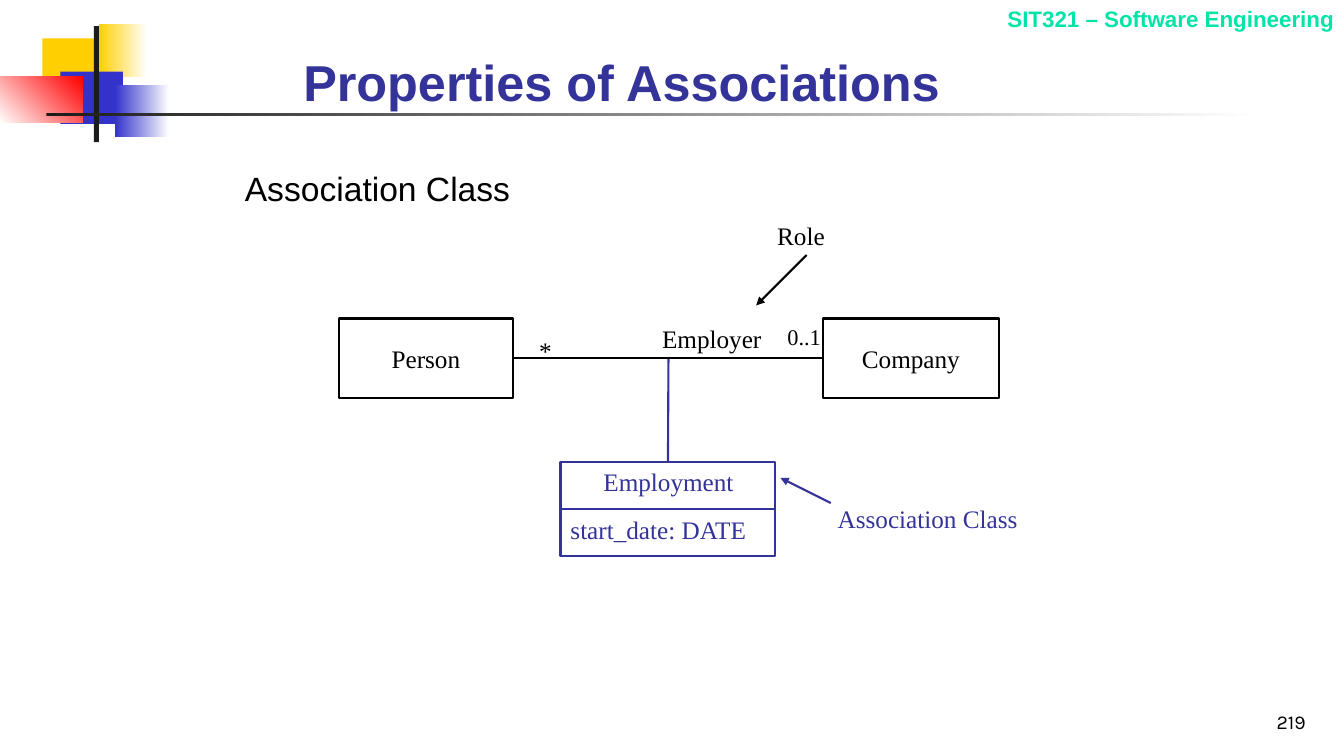
from lxml.etree import SubElement
from pptx import Presentation
from pptx.dml.color import RGBColor
from pptx.enum.shapes import MSO_CONNECTOR, MSO_SHAPE
from pptx.enum.text import MSO_ANCHOR as Anchor, PP_ALIGN as Align
from pptx.oxml.ns import qn
from pptx.util import Inches, Pt

COLORS = {
    "black": "000000", "white": "FFFFFF", "ink": "1C1C1C", "yellow": "FFCF01",
    "blue": "3333CC", "red": "FF0000", "navy": "333399", "mint": "00E4A8",
}
SERIF = "Times New Roman"


def rgb(name):
    return RGBColor.from_string(COLORS[name])


def write(frame, text, size, color, font, align, bold=False):
    frame.word_wrap = True
    paragraph = frame.paragraphs[0]
    paragraph.text = text
    paragraph.alignment = align
    style = paragraph.runs[0].font
    style.size, style.name, style.bold = Pt(size), font, bold
    style.color.rgb = rgb(color)


def add_label(slide, box, text, size=18, color="black", font=SERIF,
              align=Align.LEFT, anchor=Anchor.TOP, bold=False):
    label = slide.shapes.add_textbox(*map(Inches, box))
    label.text_frame.vertical_anchor = anchor
    write(label.text_frame, text, size, color, font, align, bold)


def add_rectangle(slide, box):
    rectangle = slide.shapes.add_shape(MSO_SHAPE.RECTANGLE, *map(Inches, box))
    rectangle.shadow.inherit = False
    return rectangle


def add_block(slide, box, start, end=None, angle=0):
    block = add_rectangle(slide, box)
    block.line.fill.background()
    if end is None:
        block.fill.solid()
        block.fill.fore_color.rgb = rgb(start)
        return
    block.fill.gradient()
    block.fill.gradient_angle = angle
    for stop, name in zip(block.fill.gradient_stops, (start, end)):
        stop.color.rgb = rgb(name)


def add_class(slide, box, color="black", name=None):
    class_box = add_rectangle(slide, box)
    class_box.fill.background()
    class_box.line.color.rgb = rgb(color)
    class_box.line.width = Pt(1.5)
    if name:
        class_box.text_frame.vertical_anchor = Anchor.MIDDLE
        write(class_box.text_frame, name, 18, color, SERIF, Align.CENTER)
    return class_box


def add_link(slide, start, end, color="black", arrow=False):
    link = slide.shapes.add_connector(
        MSO_CONNECTOR.STRAIGHT, *map(Inches, start + end))
    link.line.color.rgb = rgb(color)
    link.line.width = Pt(1.5)
    if arrow:
        SubElement(link.line._get_or_add_ln(), qn("a:tailEnd"), type="triangle")
    SubElement(link._element.spPr, qn("a:effectLst"))
    return link


def add_decoration(slide):
    add_block(slide, (0.42, 0.38, 0.64, 0.52), "yellow")
    add_block(slide, (0.98, 0.24, 0.48, 0.52), "yellow", "white")
    add_block(slide, (0.6, 0.71, 0.62, 0.52), "blue")
    add_block(slide, (1.14, 0.84, 0.54, 0.52), "blue", "white")
    add_block(slide, (0, 0.76, 0.82, 0.46), "white", "red", 45)
    add_block(slide, (0.93, 0.26, 0.05, 1.15), "ink")
    add_block(slide, (0.46, 1.12, 12, 0.03), "ink", "white")


def add_headings(slide):
    add_label(slide, (8.03, 0, 5.3, 0.37), "SIT321 – Software Engineering",
              16, "mint", "Arial", Align.RIGHT, bold=True)
    add_label(slide, (10.27, 6.83, 2.78, 0.5), "219", 14, font="Karla",
              align=Align.RIGHT, anchor=Anchor.BOTTOM)
    add_label(slide, (2.91, 0.26, 7.05, 0.9), "Properties of Associations",
              36, "navy", "Arial", anchor=Anchor.BOTTOM, bold=True)
    add_label(slide, (2.33, 1.62, 3.39, 0.46), "Association Class", 24,
              font="Arial")


def add_association(slide):
    person = add_class(slide, (3.36, 3.16, 1.73, 0.79), name="Person")
    company = add_class(slide, (8.16, 3.16, 1.75, 0.79), name="Company")
    association = add_link(slide, (5.09, 3.56), (8.16, 3.56))
    association.begin_connect(person, 3)
    association.end_connect(company, 1)
    add_label(slide, (5.25, 3.28, 1, 0.4), "*")
    add_label(slide, (6.43, 3.16, 1.26, 0.4), "Employer", align=Align.CENTER)
    add_label(slide, (7.69, 3.16, 0.55, 0.37), "0..1", 16, align=Align.RIGHT)
    add_label(slide, (7.61, 2.14, 0.81, 0.4), "Role")
    add_link(slide, (8, 2.53), (7.5, 3.03), arrow=True)


def add_association_class(slide):
    employment = add_class(slide, (5.56, 4.58, 2.13, 0.94), "navy")
    add_label(slide, (5.72, 4.58, 1.82, 0.4), "Employment", color="navy",
              align=Align.CENTER)
    add_link(slide, (5.56, 5.05), (7.69, 5.05), "navy")
    add_label(slide, (5.56, 5.05, 2.13, 0.4), "start_date: DATE", color="navy")
    stem = add_link(slide, (6.63, 3.56), (6.63, 4.58), "navy")
    stem.end_connect(employment, 0)
    add_link(slide, (8.24, 4.99), (7.74, 4.74), "navy", arrow=True)
    add_label(slide, (8.21, 4.94, 2, 0.4), "Association Class", color="navy")


def main():
    deck = Presentation()
    deck.slide_width, deck.slide_height = Inches(13.33), Inches(7.5)
    slide = deck.slides.add_slide(deck.slide_layouts[6])
    add_decoration(slide)
    add_headings(slide)
    add_association_class(slide)
    add_association(slide)
    deck.save("out.pptx")


if __name__ == "__main__":
    main()
